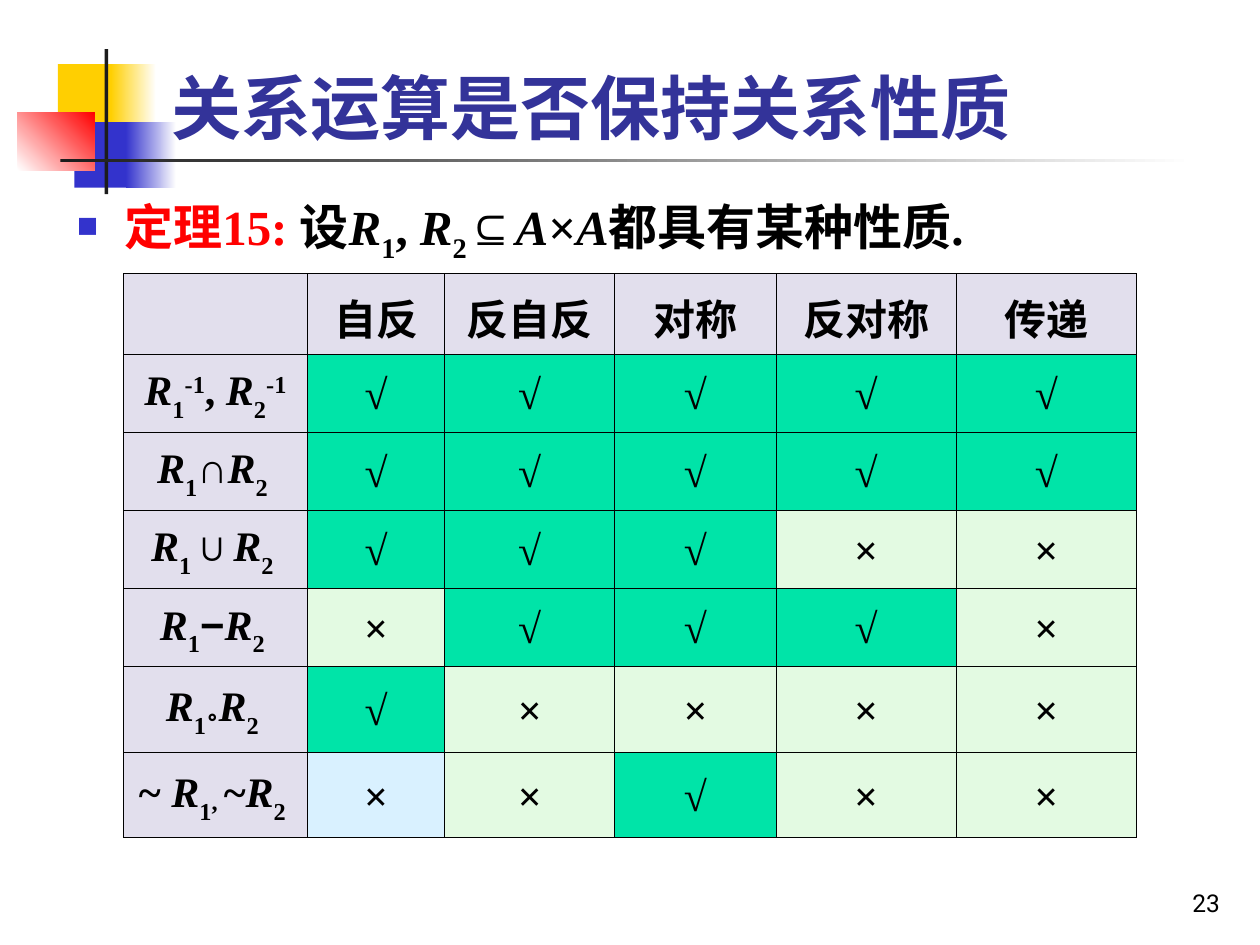
from lxml.etree import SubElement
from pptx import Presentation
from pptx.dml.color import RGBColor
from pptx.enum.shapes import MSO_SHAPE
from pptx.enum.text import MSO_ANCHOR, PP_ALIGN
from pptx.oxml.ns import qn
from pptx.util import Inches, Pt

SERIF = "Times New Roman"
BLACK, WHITE, INK, RED = "000000", "FFFFFF", "1C1C1C", "FF0000"
YELLOW, BLUE, TITLE_BLUE = "FFCF01", "3333CC", "333399"
LABEL_FILL, KEPT_FILL, LOST_FILL, COMPLEMENT_FILL = "E2DFED", "00E4A8", "E3FAE2", "D9F1FF"

R = ("R", {"italic": True})
ONE = ("1", {"baseline": -30})
TWO = ("2 ", {"baseline": -30})
INVERSE = ("-1", {"baseline": 30})

PROPERTIES = ["自反", "反自反", "对称", "反对称", "传递"]
OPERATIONS = [
    ([R, ONE, INVERSE, (", ", {}), R, ("2", {"baseline": -30}), INVERSE], "√√√√√"),
    ([R, ONE, ("∩", {}), R, TWO], "√√√√√"),
    ([R, ONE, ("∪", {}), R, TWO], "√√√××"),
    ([R, ONE, ("−", {"font": "Arial"}), R, TWO], "×√√√×"),
    ([R, ONE, ("∘", {"baseline": -8}), R, TWO], "√××××"),
    ([("~ ", {}), R, ONE, (", ", {"baseline": -8}), ("~", {}), R, TWO], "××√××"),
]
COLUMN_WIDTHS = [1.46, 1.09, 1.35, 1.28, 1.43, 1.43]
ROW_HEIGHTS = [0.64] + [0.62] * 4 + [0.68] * 2


def rgb(hex_color):
    return RGBColor.from_string(hex_color)


def add_bar(slide, box, color, fade_to=None, angle=0):
    bar = slide.shapes.add_shape(MSO_SHAPE.RECTANGLE, *map(Inches, box))
    bar.shadow.inherit = False
    bar.line.fill.background()
    if fade_to is None:
        bar.fill.solid()
        bar.fill.fore_color.rgb = rgb(color)
        return
    bar.fill.gradient()
    bar.fill.gradient_angle = angle
    for stop, position, stop_color in zip(bar.fill.gradient_stops, (0, 1), (color, fade_to)):
        stop.position = position
        stop.color.rgb = rgb(stop_color)


def write_runs(paragraph, pieces, size, color=BLACK, font=SERIF, bold=True):
    for text, style in pieces:
        run = paragraph.add_run()
        run.text = text
        run.font.size = Pt(size)
        run.font.bold = bold
        run.font.italic = style.get("italic", False)
        run.font.name = style.get("font", font)
        run.font.color.rgb = rgb(style.get("color", color))
        if "baseline" in style:
            run.font._element.set("baseline", str(style["baseline"] * 1000))


def add_text(slide, box, pieces, size, anchor=MSO_ANCHOR.TOP, **look):
    frame = slide.shapes.add_textbox(*map(Inches, box)).text_frame
    frame.word_wrap = True
    frame.vertical_anchor = anchor
    paragraph = frame.paragraphs[0]
    write_runs(paragraph, pieces, size, **look)
    return paragraph


def add_square_bullet(paragraph, indent):
    properties = paragraph._p.get_or_add_pPr()
    properties.set("marL", str(Inches(indent)))
    properties.set("indent", str(-Inches(indent)))
    bullet_color = SubElement(properties, qn("a:buClr"))
    SubElement(bullet_color, qn("a:srgbClr"), val=BLUE)
    SubElement(properties, qn("a:buSzPct"), val="60000")
    SubElement(properties, qn("a:buChar"), char="■")


def fill_cell(cell, pieces, fill):
    cell_properties = cell._tc.get_or_add_tcPr()
    for side in ("lnL", "lnR", "lnT", "lnB"):
        border = SubElement(cell_properties, qn(f"a:{side}"), w=str(Pt(0.45)))
        border_fill = SubElement(border, qn("a:solidFill"))
        SubElement(border_fill, qn("a:srgbClr"), val=BLACK)
    cell.fill.solid()
    cell.fill.fore_color.rgb = rgb(fill)
    cell.vertical_anchor = MSO_ANCHOR.MIDDLE
    paragraph = cell.text_frame.paragraphs[0]
    paragraph.alignment = PP_ALIGN.CENTER
    paragraph.line_spacing = 1.1
    write_runs(paragraph, pieces, 24)


def add_property_table(slide):
    frame = slide.shapes.add_table(
        len(ROW_HEIGHTS), len(COLUMN_WIDTHS), Inches(0.98), Inches(2.17),
        Inches(sum(COLUMN_WIDTHS)), Inches(sum(ROW_HEIGHTS)))
    table = frame.table
    table.first_row = table.horz_banding = False
    for column, width in zip(table.columns, COLUMN_WIDTHS):
        column.width = Inches(width)
    for row, height in zip(table.rows, ROW_HEIGHTS):
        row.height = Inches(height)

    fill_cell(table.cell(0, 0), [], LABEL_FILL)
    for column, name in enumerate(PROPERTIES, 1):
        fill_cell(table.cell(0, column), [(name, {})], LABEL_FILL)
    for row, (operation, marks) in enumerate(OPERATIONS, 1):
        fill_cell(table.cell(row, 0), operation, LABEL_FILL)
        for column, mark in enumerate(marks, 1):
            fill = KEPT_FILL if mark == "√" else LOST_FILL
            if (row, column) == (len(OPERATIONS), 1):
                fill = COMPLEMENT_FILL
            fill_cell(table.cell(row, column), [(mark, {})], fill)


def add_ornament(slide):
    add_bar(slide, (0.46, 0.51, 0.48, 0.52), YELLOW)
    add_bar(slide, (0.88, 0.51, 0.36, 0.52), YELLOW, WHITE)
    add_bar(slide, (0.59, 0.97, 0.46, 0.52), BLUE)
    add_bar(slide, (1, 0.97, 0.4, 0.52), BLUE, WHITE)
    add_bar(slide, (0.14, 0.89, 0.61, 0.46), WHITE, RED, angle=45)
    add_bar(slide, (0.83, 0.39, 0.03, 1.15), INK)
    add_bar(slide, (0.48, 1.26, 9, 0.03), INK, WHITE)


def main():
    presentation = Presentation()
    presentation.slide_width, presentation.slide_height = Inches(10), Inches(7.5)
    slide = presentation.slides.add_slide(presentation.slide_layouts[6])

    add_ornament(slide)
    page_number = add_text(slide, (7.7, 6.83, 2.08, 0.5), [("23", {})], 14,
                           MSO_ANCHOR.BOTTOM, font="Roboto", bold=False)
    page_number.alignment = PP_ALIGN.RIGHT
    add_text(slide, (1.26, 0.39, 8.52, 0.84), [("关系运算是否保持关系性质", {})], 40,
             MSO_ANCHOR.BOTTOM, color=TITLE_BLUE)

    A = ("A", {"italic": True})
    theorem = add_text(slide, (0.51, 1.46, 9.13, 0.71), [
        ("定理15: ", {"color": RED}), ("设", {}),
        R, ("1", {"baseline": -25}), (", ", {}), R, ("2", {"baseline": -25}),
        ("⊆", {}), A, ("×", {}), A, ("都具有某种性质.", {}),
    ], 28)
    theorem.line_spacing = 1.1
    theorem.space_before = Pt(7)
    add_square_bullet(theorem, 0.38)

    add_property_table(slide)
    presentation.save("out.pptx")


if __name__ == "__main__":
    main()
